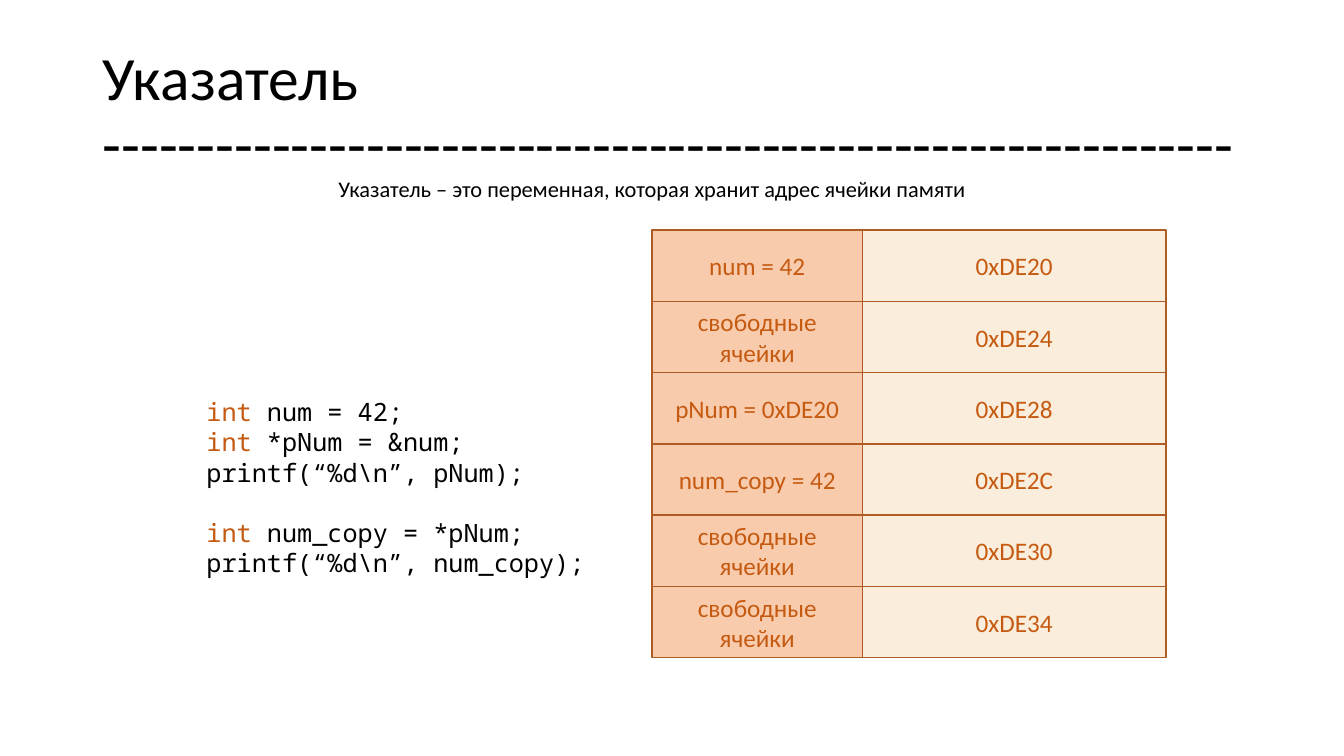
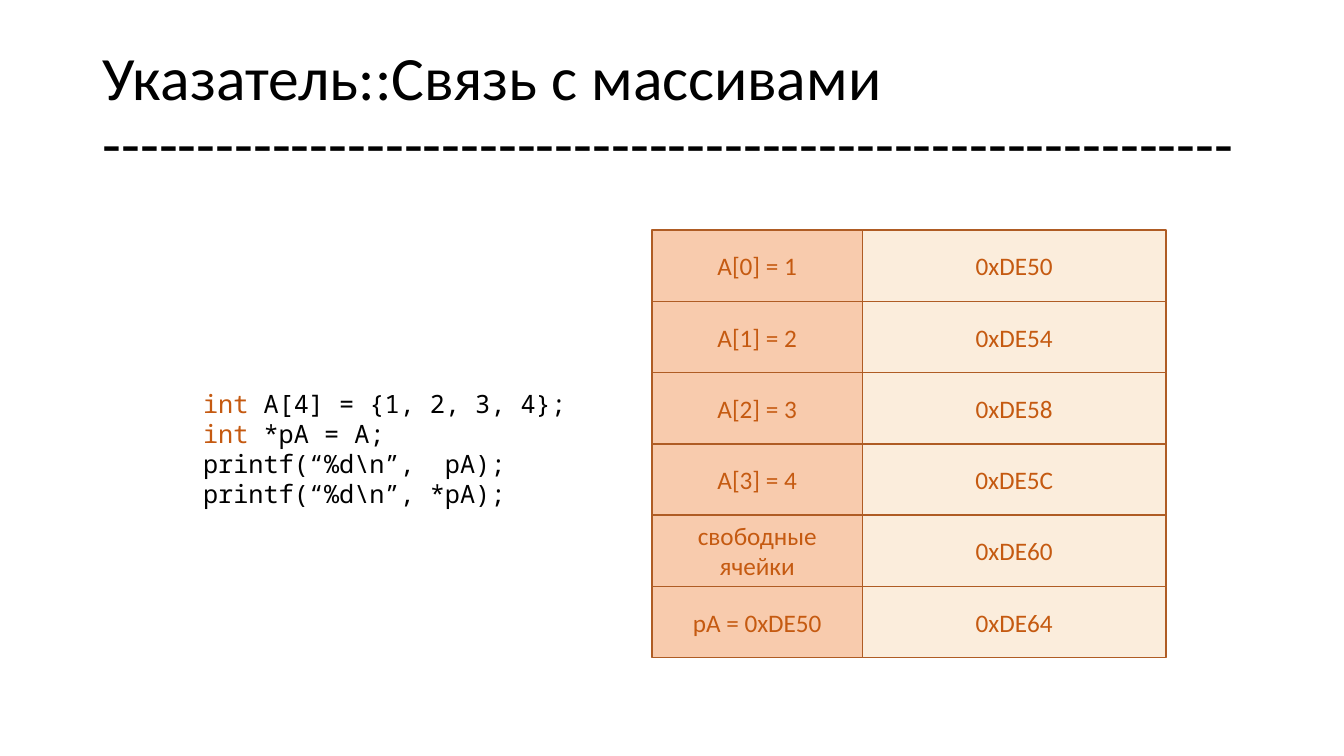
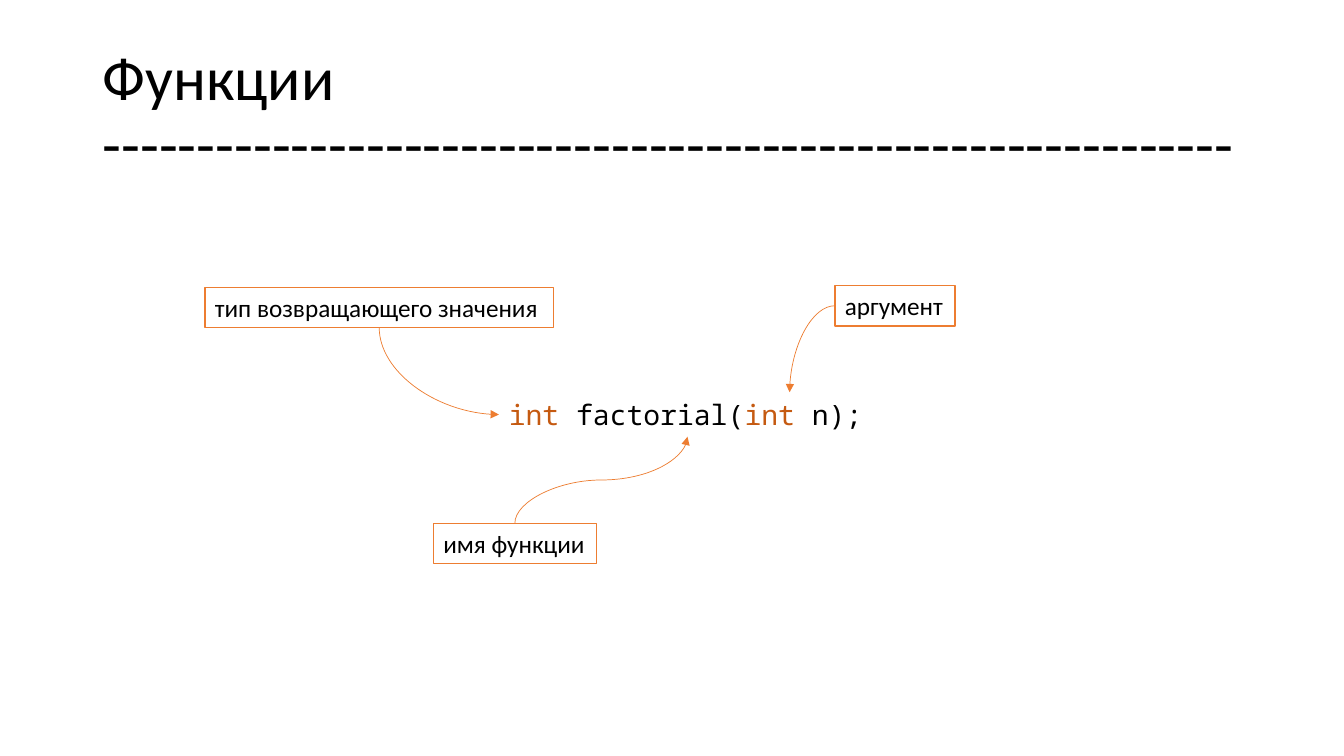
import pptx
import pptx.dml.color
import pptx.enum.shapes
import pptx.enum.text
import pptx.oxml.ns
import pptx.util
import lxml.etree

COLORS = {
    "ink": "000000",
    "paper": "FFFFFF",
    "keyword": "C55A11",
    "border": "AF5C24",
    "value": "F8CBAD",
    "address": "FBEDDC",
    "accent": "ED7D31",
}
TEXT_FONT, CODE_FONT = "Calibri", "Noto Sans Mono"
COLUMNS, ROWS = 160, 90
CELL = pptx.util.Inches(7.5) / ROWS
TITLE_BOX = (11, 4.8, 138, 17.4)
MEMORY_BOX = (77.6, 27.4, 61.2, 50.9)
VALUE_SHARE = 0.41
FREE = "свободные ячейки"
ALIGN = pptx.enum.text.PP_ALIGN
ANCHOR = pptx.enum.text.MSO_ANCHOR
FIT = pptx.enum.text.MSO_AUTO_SIZE
RECTANGLE = pptx.enum.shapes.MSO_SHAPE.RECTANGLE
TOP, LEFT, BOTTOM = 0, 1, 2


def grid(*cells):
    """Turn grid cells into lengths."""
    return [pptx.util.Emu(round(cell * CELL)) for cell in cells]


def color(name):
    """Look up a named colour."""
    return pptx.dml.color.RGBColor.from_string(COLORS[name])


def style_font(font, size, ink="ink", face=TEXT_FONT):
    """Set size, colour and face of a font."""
    font.size, font.name = pptx.util.Pt(size), face
    font.color.rgb = color(ink)


def add_page(deck, heading):
    """Add a slide with a heading over a dashed rule."""
    page = deck.slides.add_slide(deck.slide_layouts.get_by_name("Title Only"))
    title = page.shapes.title
    title.left, title.top, title.width, title.height = grid(*TITLE_BOX)
    frame = title.text_frame
    frame.text = heading + "\v" + "-" * 60
    frame.auto_size = FIT.NONE
    frame.vertical_anchor = ANCHOR.MIDDLE
    para = frame.paragraphs[0]
    para.alignment, para.line_spacing = ALIGN.LEFT, 0.9
    style_font(para.font, 44)
    return page


def add_rectangle(page, box, fill, line):
    """Add a flat rectangle with a thin outline."""
    shape = page.shapes.add_shape(RECTANGLE, *grid(*box))
    shape.shadow.inherit = False
    shape.fill.solid()
    shape.fill.fore_color.rgb = color(fill)
    shape.line.color.rgb = color(line)
    shape.line.width = pptx.util.Pt(1)
    return shape


def add_memory(page, box, cells):
    """Stack memory cells, each with its value and address."""
    left, top, width, height = box
    split = width * VALUE_SHARE
    step = height / len(cells)
    columns = (("value", left, split), ("address", left + split, width - split))
    for row, texts in enumerate(cells):
        for text, (fill, start, span_width) in zip(texts, columns):
            place = (start, top + row * step, span_width, step)
            frame = add_rectangle(page, place, fill, "border").text_frame
            frame.text = text
            frame.word_wrap = True
            frame.vertical_anchor = ANCHOR.MIDDLE
            para = frame.paragraphs[0]
            para.alignment = ALIGN.CENTER
            style_font(para.font, 18, "keyword")


def add_code(page, box, blocks, size=18):
    """Write blocks of code with the int keyword highlighted."""
    shape = page.shapes.add_textbox(*grid(*box))
    frame = shape.text_frame
    frame.word_wrap = False
    frame.auto_size = FIT.SHAPE_TO_FIT_TEXT
    para = frame.paragraphs[0]
    for block_index, block in enumerate(blocks):
        for line_index, line in enumerate(block):
            if block_index or line_index:
                para = frame.add_paragraph()
            if block_index and not line_index:
                para.space_before = pptx.util.Pt(size * 1.2)
            style_font(para.font, size, face=CODE_FONT)
            for piece_index, piece in enumerate(line.split("int ")):
                if piece_index:
                    span = para.add_run()
                    span.text = "int "
                    span.font.color.rgb = color("keyword")
                if piece:
                    para.add_run().text = piece
    return shape


def add_definition(page, box, text):
    """Write a one-line definition."""
    frame = page.shapes.add_textbox(*grid(*box)).text_frame
    frame.word_wrap = True
    frame.text = text
    style_font(frame.paragraphs[0].font, 16)


def add_label(page, box, text):
    """Add an outlined label."""
    shape = add_rectangle(page, box, "paper", "accent")
    frame = shape.text_frame
    frame.text = text
    frame.word_wrap = False
    frame.auto_size = FIT.SHAPE_TO_FIT_TEXT
    frame.vertical_anchor = ANCHOR.TOP
    para = frame.paragraphs[0]
    para.alignment = ALIGN.LEFT
    style_font(para.font, 18)
    return shape


def add_curve(page, label, site, start, end, preset, turn, flips, target=None):
    """Draw a curved arrow from a label site, turned and flipped to fit."""
    middle = [(a + b) / 2 for a, b in zip(start, end)]
    width, height = [abs(a - b) for a, b in zip(start, end)]
    if turn % 180:
        width, height = height, width
    curve = page.shapes.add_connector(
        pptx.enum.shapes.MSO_CONNECTOR.CURVE, *grid(*start, *end))
    curve.begin_connect(label, site)
    if target:
        curve.end_connect(*target)
    curve.left, curve.top, curve.width, curve.height = grid(
        middle[0] - width / 2, middle[1] - height / 2, width, height)
    curve.line.color.rgb = color("accent")
    curve.line.width = pptx.util.Pt(0.5)
    name = pptx.oxml.ns.qn
    properties = curve.element.spPr
    frame = properties.find(name("a:xfrm"))
    for flip in ("flipH", "flipV"):
        frame.set(flip, "1" if flip in flips else "0")
    frame.set("rot", str(turn * 60000))
    properties.find(name("a:prstGeom")).set("prst", preset)
    outline = properties.find(name("a:ln"))
    lxml.etree.SubElement(outline, name("a:tailEnd"), type="triangle")
    lxml.etree.SubElement(properties, name("a:effectLst"))


def build_pointer(deck):
    """Build the slide that defines a pointer."""
    page = add_page(deck, "Указатель")
    values = ("num = 42", FREE, "pNum = 0xDE20", "num_copy = 42", FREE, FREE)
    addresses = ("0xDE20", "0xDE24", "0xDE28", "0xDE2C", "0xDE30", "0xDE34")
    add_memory(page, MEMORY_BOX, list(zip(values, addresses)))
    add_code(page, (23.4, 46.6, 48.1, 26.6), (
        ("int num = 42;", "int *pNum = &num;", "printf(“%d\\n”, pNum);"),
        ("int num_copy = *pNum;", "printf(“%d\\n”, num_copy);")))
    add_definition(page, (39.1, 20.3, 100, 4.4),
                   "Указатель – это переменная, которая хранит адрес ячейки памяти")


def build_array(deck):
    """Build the slide on pointers and arrays."""
    page = add_page(deck, "Указатель::Связь с массивами")
    values = ("A[0] = 1", "A[1] = 2", "A[2] = 3", "A[3] = 4", FREE, "pA = 0xDE50")
    addresses = ("0xDE50", "0xDE54", "0xDE58", "0xDE5C", "0xDE60", "0xDE64")
    add_memory(page, MEMORY_BOX, list(zip(values, addresses)))
    add_code(page, (23, 45.6, 46.3, 15.7), ((
        "int A[4] = {1, 2, 3, 4};", "int *pA = A;",
        "printf(“%d\\n”,  pA);", "printf(“%d\\n”, *pA);"),))


def build_function(deck):
    """Build the slide that names the parts of a function."""
    page = add_page(deck, "Функции")
    code = add_code(page, (59.4, 46.7, 44.9, 5.3), (("int factorial(int n);",),), 20)
    result = add_label(page, (24.4, 34.2, 41.5, 4.8), "тип возвращающего значения")
    name = add_label(page, (51.6, 62.3, 19.4, 4.8), "имя функции")
    argument = add_label(page, (99.4, 34, 14.3, 4.8), "аргумент")
    add_curve(page, result, BOTTOM, (45.15, 39), (59.4, 49.35),
              "curvedConnector2", 270, ("flipH",), (code, LEFT))
    add_curve(page, name, TOP, (61.3, 62.3), (81.85, 52),
              "curvedConnector3", 90, ("flipH", "flipV"), (code, BOTTOM))
    add_curve(page, argument, LEFT, (99.4, 36.4), (94, 46.7),
              "curvedConnector2", 180, ("flipV",))


def main():
    """Build and save the deck."""
    deck = pptx.Presentation()
    deck.slide_width, deck.slide_height = grid(COLUMNS, ROWS)
    for build in (build_pointer, build_array, build_function):
        build(deck)
    deck.save("out.pptx")


main()
